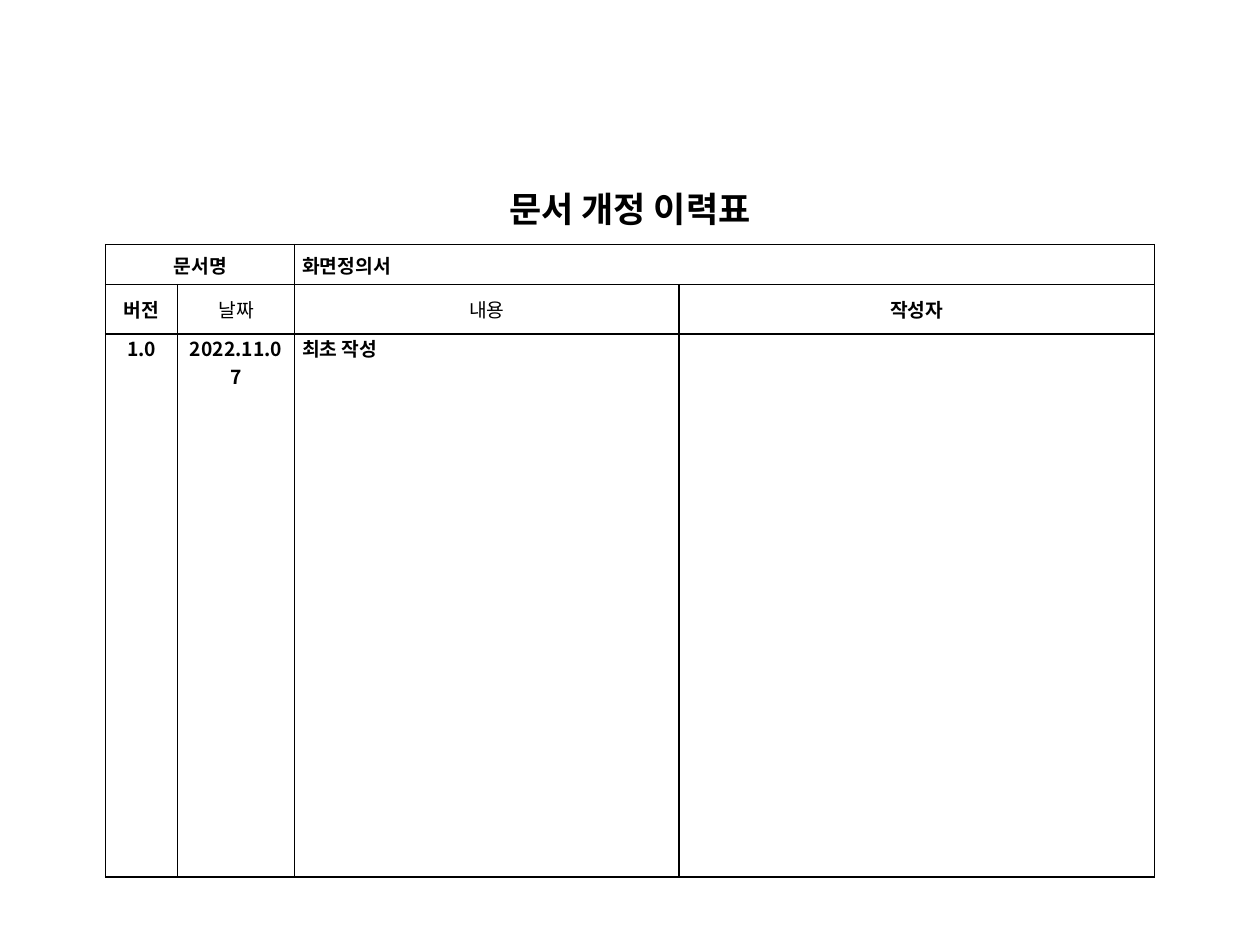
from lxml import etree
from pptx import Presentation
from pptx import util as u
from pptx.dml.color import RGBColor
from pptx.enum import text
from pptx.oxml.ns import qn

BLACK = RGBColor(0x00, 0x00, 0x00)
WHITE = RGBColor(0xFF, 0xFF, 0xFF)
FONT = "Noto Sans CJK KR"
CENTER = text.PP_ALIGN.CENTER
JUSTIFY = text.PP_ALIGN.JUSTIFY
MIDDLE = text.MSO_ANCHOR.MIDDLE
TOP = text.MSO_ANCHOR.TOP
BOTTOM = text.MSO_ANCHOR.BOTTOM

COLUMN_WIDTHS = (1.45, 2.36, 7.75, 9.58)
ROW_HEIGHTS = (2.59, 0.81, 0.99, 10.95)


def write(cell, wording, size=11, bold=True, align=CENTER, anchor=MIDDLE):
    cell.vertical_anchor = anchor
    para = cell.text_frame.paragraphs[0]
    para.alignment = align
    span = para.add_run()
    span.text = wording
    span.font.size = u.Pt(size)
    span.font.bold = bold
    span.font.color.rgb = BLACK
    span.font.name = FONT
    etree.SubElement(span.font._element, qn("a:ea"), typeface=FONT)


def draw_border(cell, side, color):
    properties = cell._tc.get_or_add_tcPr()
    line = etree.SubElement(properties, qn(f"a:ln{side}"), w=str(u.Pt(1)))
    fill = etree.SubElement(line, qn("a:solidFill"))
    etree.SubElement(fill, qn("a:srgbClr"), val=str(color))


def style_cell(cell, is_title):
    cell.margin_left = cell.margin_right = u.Cm(0.15)
    cell.margin_top = cell.margin_bottom = 0
    for side in "LRTB":
        draw_border(cell, side, WHITE if is_title and side != "B" else BLACK)
    cell.fill.background()


def add_history_table(page):
    frame = page.shapes.add_table(
        len(ROW_HEIGHTS), len(COLUMN_WIDTHS), u.Cm(2.13), u.Cm(2.34),
        u.Cm(sum(COLUMN_WIDTHS)), u.Cm(sum(ROW_HEIGHTS)))
    table = frame.table
    table.first_row = False
    table.horz_banding = False
    for column, width in zip(table.columns, COLUMN_WIDTHS):
        column.width = u.Cm(width)
    for index, (row, height) in enumerate(zip(table.rows, ROW_HEIGHTS)):
        row.height = u.Cm(height)
        for cell in row.cells:
            style_cell(cell, is_title=index == 0)
    for row, first, last in ((0, 0, 3), (1, 0, 1), (1, 2, 3)):
        table.cell(row, first).merge(table.cell(row, last))
    return table


def fill_history_table(table):
    title = table.cell(0, 0)
    title.margin_bottom = u.Cm(0.25)
    write(title, "문서 개정 이력표", size=20, anchor=BOTTOM)
    write(table.cell(1, 0), "문서명")
    write(table.cell(1, 2), "화면정의서", align=JUSTIFY)
    headings = (("버전", True), ("날짜", False), ("내용", False), ("작성자", True))
    for column, (heading, bold) in enumerate(headings):
        write(table.cell(2, column), heading, bold=bold)
    entry = (("1.0", CENTER), ("2022.11.07", CENTER), ("최초 작성", JUSTIFY))
    for column, (wording, align) in enumerate(entry):
        write(table.cell(3, column), wording, align=align, anchor=TOP)


def main():
    deck = Presentation()
    deck.slide_width = u.Cm(25.4)
    deck.slide_height = u.Cm(19.05)
    page = deck.slides.add_slide(deck.slide_layouts[6])
    fill_history_table(add_history_table(page))
    deck.save("out.pptx")


if __name__ == "__main__":
    main()
